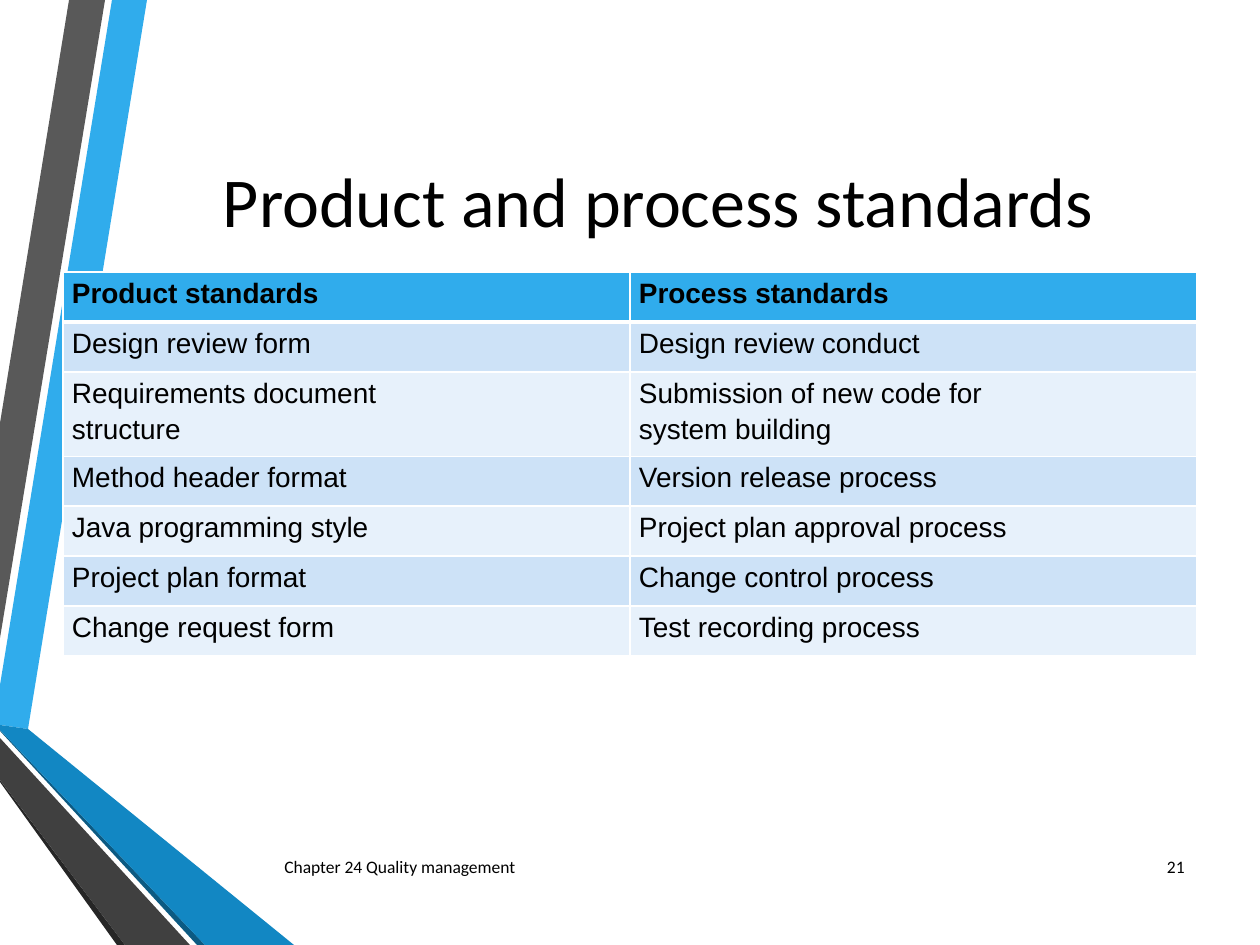
from pptx import Presentation
from pptx.dml.color import RGBColor
from pptx.enum.text import MSO_ANCHOR, PP_ALIGN
from pptx.oxml import parse_xml
from pptx.oxml.ns import nsdecls
from pptx.util import Emu, Pt

SCALE = 914400 / 126  # EMU in one px
BLACK = RGBColor(0x00, 0x00, 0x00)
SKY = RGBColor(0x30, 0xAC, 0xEC)
BLUE = RGBColor(0x12, 0x87, 0xC3)
DEEP_BLUE = RGBColor(0x0C, 0x5A, 0x82)
GREY = RGBColor(0x59, 0x59, 0x59)
DARK_GREY = RGBColor(0x40, 0x40, 0x40)
CHARCOAL = RGBColor(0x26, 0x26, 0x26)
PALE = RGBColor(0xCD, 0xE2, 0xF7)
PALEST = RGBColor(0xE7, 0xF1, 0xFB)
WHITE = RGBColor(0xFF, 0xFF, 0xFF)

# Ribbons at the left edge, from back to front
RIBBONS = [
    (SKY, [(0, 685), (0, 725), (28, 729), (147, 0), (112, 0)]),
    (GREY, [(105, 0), (69, 0), (0, 423), (0, 638)]),
    (CHARCOAL, [(0, 780), (0, 782), (117, 945), (125, 945)]),
    (DEEP_BLUE, [(0, 730), (0, 731), (197, 945), (205, 945)]),
    (BLUE, [(0, 730), (205, 945), (294, 945), (28, 729), (0, 725)]),
    (DARK_GREY, [(0, 780), (125, 945), (190, 945), (0, 738)]),
]

STANDARDS = [
    ("Product standards", "Process standards"),
    ("Design review form", "Design review conduct"),
    ("Requirements document\nstructure",
     "Submission of new code for \nsystem building"),
    ("Method header format", "Version release process"),
    ("Java programming style", "Project plan approval process"),
    ("Project plan format", "Change control process"),
    ("Change request form", "Test recording process"),
]
ROW_HEIGHTS = [50, 50, 58, 50, 50, 50, 50]


def px(length):
    return Emu(round(length * SCALE))


class SlideBuilder:
    heading_font = "Calibri"
    table_font = "Arial"
    thin, thick = Pt(0.96), Pt(3)

    def __init__(self, page):
        self.page = page

    def style(self, paragraph, font_name, size, align, bold=False):
        paragraph.alignment = align
        font = paragraph.font
        font.name, font.size, font.bold = font_name, Pt(size), bold
        font.color.rgb = BLACK

    def ribbon(self, color, points):
        builder = self.page.shapes.build_freeform(*points[0], scale=SCALE)
        builder.add_line_segments(points[1:], close=True)
        shape = builder.convert_to_shape()
        shape.shadow.inherit = False
        shape.fill.solid()
        shape.fill.fore_color.rgb = color
        shape.line.fill.background()

    def text(self, words, left, top, width, height, size, align=PP_ALIGN.LEFT):
        box = self.page.shapes.add_textbox(px(left), px(top), px(width), px(height))
        frame = box.text_frame
        frame.word_wrap = True
        frame.vertical_anchor = MSO_ANCHOR.MIDDLE
        frame.text = words
        self.style(frame.paragraphs[0], self.heading_font, size, align)

    def borders(self, cell, top, bottom):
        properties = cell._tc.get_or_add_tcPr()
        sides = {"L": self.thin, "R": self.thin, "T": top, "B": bottom}
        for side, width in sides.items():
            properties.append(parse_xml(
                f'<a:ln{side} {nsdecls("a")} w="{width}"><a:solidFill>'
                f'<a:srgbClr val="{WHITE}"/></a:solidFill></a:ln{side}>'))

    def cell(self, cell, words, row, column):
        header = row == 0
        cell.margin_left = cell.margin_right = px(9)
        cell.margin_top = cell.margin_bottom = px(6)
        self.borders(cell,
                     self.thick if row == 1 else self.thin,
                     self.thick if header else self.thin)
        cell.fill.solid()
        cell.fill.fore_color.rgb = SKY if header else (PALEST, PALE)[row % 2]
        cell.text_frame.text = words
        align = PP_ALIGN.JUSTIFY if header or column else PP_ALIGN.LEFT
        for paragraph in cell.text_frame.paragraphs:
            self.style(paragraph, self.table_font, 16, align, header)
            paragraph.space_after = Pt(3)

    def table(self, rows, heights, left, top, width):
        columns = len(rows[0])
        table = self.page.shapes.add_table(
            len(rows), columns, px(left), px(top), px(width), px(sum(heights))).table
        for row, (entries, height) in enumerate(zip(rows, heights)):
            table.rows[row].height = px(height)
            for column, words in enumerate(entries):
                self.cell(table.cell(row, column), words, row, column)


def main():
    deck = Presentation()
    deck.slide_width, deck.slide_height = px(1260), px(945)
    slide = SlideBuilder(deck.slides.add_slide(deck.slide_layouts[6]))

    # Decoration
    for color, points in RIBBONS:
        slide.ribbon(color, points)

    # Title and table
    slide.text("Product and process standards ", 135, 63, 1062, 273, 40, PP_ALIGN.CENTER)
    slide.table(STANDARDS, ROW_HEIGHTS, 63, 272, 1134)

    # Footer and page number
    slide.text("Chapter 24 Quality management", 272, 842, 732, 50, 10)
    slide.text("21", 1138, 842, 59, 50, 10, PP_ALIGN.RIGHT)

    deck.save("out.pptx")


if __name__ == "__main__":
    main()
